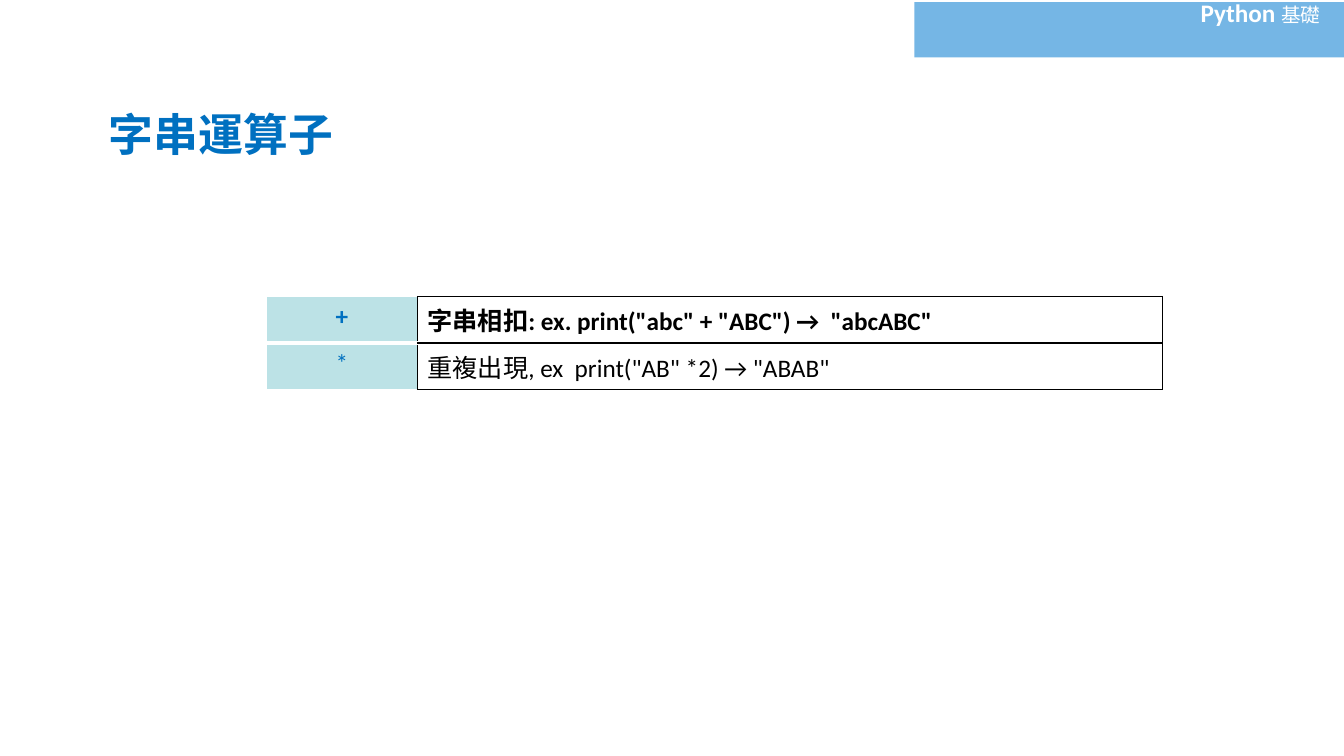
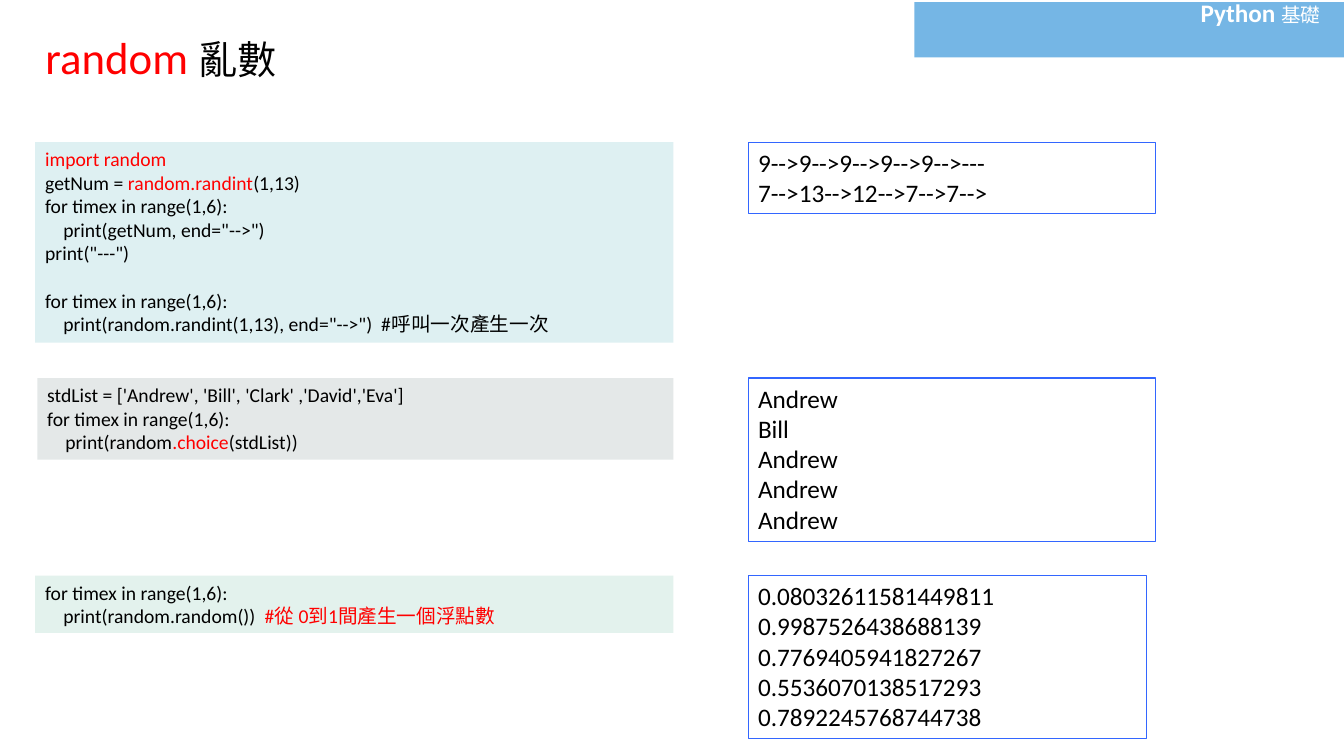
"""Build two slides on Python string operators and random numbers."""
from dataclasses import dataclass
from typing import NamedTuple, Optional

from lxml import etree
from pptx import Presentation
from pptx import util as u
from pptx.dml import color as dml
from pptx.enum import shapes, text
from pptx.oxml import ns

FONT = "Calibri"
BLACK, WHITE, RED, BLUE = "000000", "FFFFFF", "FF0000", "0070C0"
BAND_FILL, KEY_FILL, OUTPUT_LINE = "75B6E5", "BCE2E6", "3366FF"
CODE_SIZE, OUTPUT_SIZE = 14, 18
CODE_INDENT, BLANK_LINE = 0.18, 17
LEFT, RIGHT, CODE_WIDTH = 0.35, 7.42, 6.33
ROW_TOPS = (1.41, 3.75, 5.71)


class Run(NamedTuple):
    """A piece of text with its own colour, size and weight."""
    words: str
    color: str = BLACK
    size: int = CODE_SIZE
    bold: bool = False


class Line(NamedTuple):
    """A paragraph with its format values and indent in inches."""
    runs: tuple[Run, ...]
    indent: float = 0
    formats: Optional[dict] = None


class Area(NamedTuple):
    """A rectangle in inches."""
    left: float
    top: float
    width: float
    height: float

    def lengths(self) -> list:
        """Return the four sides as lengths."""
        return [u.Inches(side) for side in self]


@dataclass
class Box:
    """A text panel with an optional fill and outline."""
    area: Area
    lines: list[Line]
    fill: Optional[str] = None
    outline: Optional[str] = None


class Operator(NamedTuple):
    """A table row that explains one operator."""
    symbol: str
    meaning: str
    bold: bool
    divider: int


def code(*runs: Run, indent: float = 0, before: float = 0) -> Line:
    """Return a line of code."""
    return Line(runs, indent, {"space_before": u.Pt(before)})


def output(*rows: str) -> list[Line]:
    """Return printed results as lines."""
    return [Line((Run(row, size=OUTPUT_SIZE),)) for row in rows]


LOOP = Run("for timex in range(1,6):")
BOXES = [
    Box(Area(LEFT, ROW_TOPS[0], CODE_WIDTH, 1.99), [
        code(Run("import random", RED)),
        code(Run("getNum = "), Run("random.randint", RED), Run("(1,13)")),
        code(LOOP),
        code(Run('print(getNum, end="-->")'), indent=CODE_INDENT),
        code(Run('print("---")')),
        code(LOOP, before=BLANK_LINE),
        code(Run('print(random.randint(1,13), end="-->")  #呼叫一次產生一次'),
             indent=CODE_INDENT),
    ], fill="DEF0F2"),
    Box(Area(0.37, ROW_TOPS[1], 6.31, 0.81), [
        code(Run("stdList = ['Andrew', 'Bill', 'Clark' ,'David','Eva']")),
        code(LOOP),
        code(Run("print(random"), Run(".choice", RED), Run("(stdList))"),
             indent=CODE_INDENT),
    ], fill="E4E8E8"),
    Box(Area(LEFT, ROW_TOPS[2], CODE_WIDTH, 0.57), [
        code(LOOP),
        code(Run("print(random.random())  "), Run("#從 0到1間產生一個浮點數", RED),
             indent=CODE_INDENT),
    ], fill="E3F2ED"),
    Box(Area(RIGHT, ROW_TOPS[0], 4.04, 0.71),
        output("9-->9-->9-->9-->9-->---", "7-->13-->12-->7-->7-->"),
        outline=OUTPUT_LINE),
    Box(Area(RIGHT, ROW_TOPS[1], 4.04, 1.62),
        output("Andrew", "Bill", "Andrew", "Andrew", "Andrew"),
        outline=OUTPUT_LINE),
    Box(Area(RIGHT, ROW_TOPS[2], 3.95, 1.62),
        output("0.08032611581449811", "0.9987526438688139", "0.7769405941827267",
               "0.5536070138517293", "0.7892245768744738"),
        outline=OUTPUT_LINE),
]
OPERATORS = [
    Operator("+", '字串相扣: ex. print("abc" + "ABC") →  "abcABC"', True, 3),
    Operator("*", '重複出現, ex  print("AB" *2) → "ABAB"', False, 1),
]


def rgb(value: str) -> dml.RGBColor:
    """Turn a hex string into a colour."""
    return dml.RGBColor.from_string(value)


def apply(target, formats: dict) -> None:
    """Set each format value on the target."""
    for name, value in formats.items():
        setattr(target, name, value)


def paint(fill, value: str) -> None:
    """Give a fill one solid colour."""
    fill.solid()
    fill.fore_color.rgb = rgb(value)


def write(frame, lines: list[Line]) -> None:
    """Write lines into a text frame."""
    for index, line in enumerate(lines):
        paragraph = frame.add_paragraph() if index else frame.paragraphs[0]
        apply(paragraph, line.formats or {})
        if line.indent:
            properties = paragraph._p.get_or_add_pPr()
            properties.set("marL", str(u.Inches(line.indent)))
        for piece in line.runs:
            run = paragraph.add_run()
            run.text = piece.words
            apply(run.font, {"name": FONT, "size": u.Pt(piece.size), "bold": piece.bold})
            run.font.color.rgb = rgb(piece.color)


def add_box(slide, box: Box):
    """Draw a text panel."""
    shape = slide.shapes.add_textbox(*box.area.lengths())
    apply(shape.text_frame, {"word_wrap": True,
                             "auto_size": text.MSO_AUTO_SIZE.SHAPE_TO_FIT_TEXT})
    if box.fill:
        paint(shape.fill, box.fill)
    if box.outline:
        paint(shape.line.fill, box.outline)
        shape.line.width = u.Pt(0.75)
    write(shape.text_frame, box.lines)
    return shape


def add_band(slide) -> None:
    """Put the course band on the layout that the slides share."""
    band = slide.shapes.add_shape(shapes.MSO_SHAPE.RECTANGLE,
                                  *Area(9.07, 0.02, 4.27, 0.55).lengths())
    band.shadow.inherit = False
    paint(band.fill, BAND_FILL)
    band.line.fill.background()
    course = Line((Run("Python ", WHITE, 18, True), Run("基礎", WHITE, 14)))
    label = add_box(slide, Box(Area(11.81, -0.08, 1.4, 0.4), [course]))
    for shape in (band, label):
        slide.slide_layout.shapes.element.append(shape.element)


def set_title(slide, area: Area, *runs: Run) -> None:
    """Place and write the slide title."""
    title = slide.shapes.title
    apply(title, dict(zip(("left", "top", "width", "height"), area.lengths())))
    apply(title.text_frame, {"word_wrap": True, "auto_size": text.MSO_AUTO_SIZE.NONE,
                             "vertical_anchor": text.MSO_ANCHOR.MIDDLE})
    formats = {"alignment": text.PP_ALIGN.LEFT, "line_spacing": 0.9}
    write(title.text_frame, [Line(runs, formats=formats)])


def set_borders(cell, borders: dict[str, tuple[str, float]]) -> None:
    """Draw the cell borders, given by side as colour and points."""
    properties = cell._tc.get_or_add_tcPr()
    for side in "LRTB":
        value, points = borders[side]
        line = etree.SubElement(properties, ns.qn(f"a:ln{side}"), w=str(u.Pt(points)))
        solid = etree.SubElement(line, ns.qn("a:solidFill"))
        etree.SubElement(solid, ns.qn("a:srgbClr"), val=value)


def add_operators(slide) -> None:
    """Draw the operator table."""
    area = Area(2.64, 2.94, 8.89, 0.81)
    table = slide.shapes.add_table(len(OPERATORS), 2, *area.lengths()).table
    apply(table, {"first_row": False, "horz_banding": False})
    for column, width in zip(table.columns, (1.5, 7.39)):
        column.width = u.Inches(width)
    black = (BLACK, 1)
    for index, operator in enumerate(OPERATORS):
        key, meaning = table.cell(index, 0), table.cell(index, 1)
        set_borders(key, {"L": (WHITE, 1), "R": black, "T": (WHITE, 1),
                          "B": (WHITE, operator.divider)})
        set_borders(meaning, dict.fromkeys("LRTB", black))
        paint(key.fill, KEY_FILL)
        meaning.fill.background()
        write(key.text_frame, [Line((Run(operator.symbol, BLUE, 18, operator.bold),),
                                    formats={"alignment": text.PP_ALIGN.CENTER})])
        write(meaning.text_frame, [Line((Run(operator.meaning, BLACK, 18, operator.bold),))])


def main() -> None:
    """Build and save the presentation."""
    presentation = Presentation()
    apply(presentation, {"slide_width": u.Inches(13.33), "slide_height": u.Inches(7.5)})
    layout = presentation.slide_layouts.get_by_name("Title Only")

    operators = presentation.slides.add_slide(layout)
    add_band(operators)
    set_title(operators, Area(0.98, 1.06, 2.57, 0.59), Run("字串運算子", BLUE, 32, True))
    add_operators(operators)

    numbers = presentation.slides.add_slide(layout)
    set_title(numbers, Area(LEFT, 0.12, 5.71, 0.94),
              Run("random ", RED, 32), Run("亂數", BLACK, 28))
    for box in BOXES:
        add_box(numbers, box)

    presentation.save("out.pptx")


if __name__ == "__main__":
    main()
